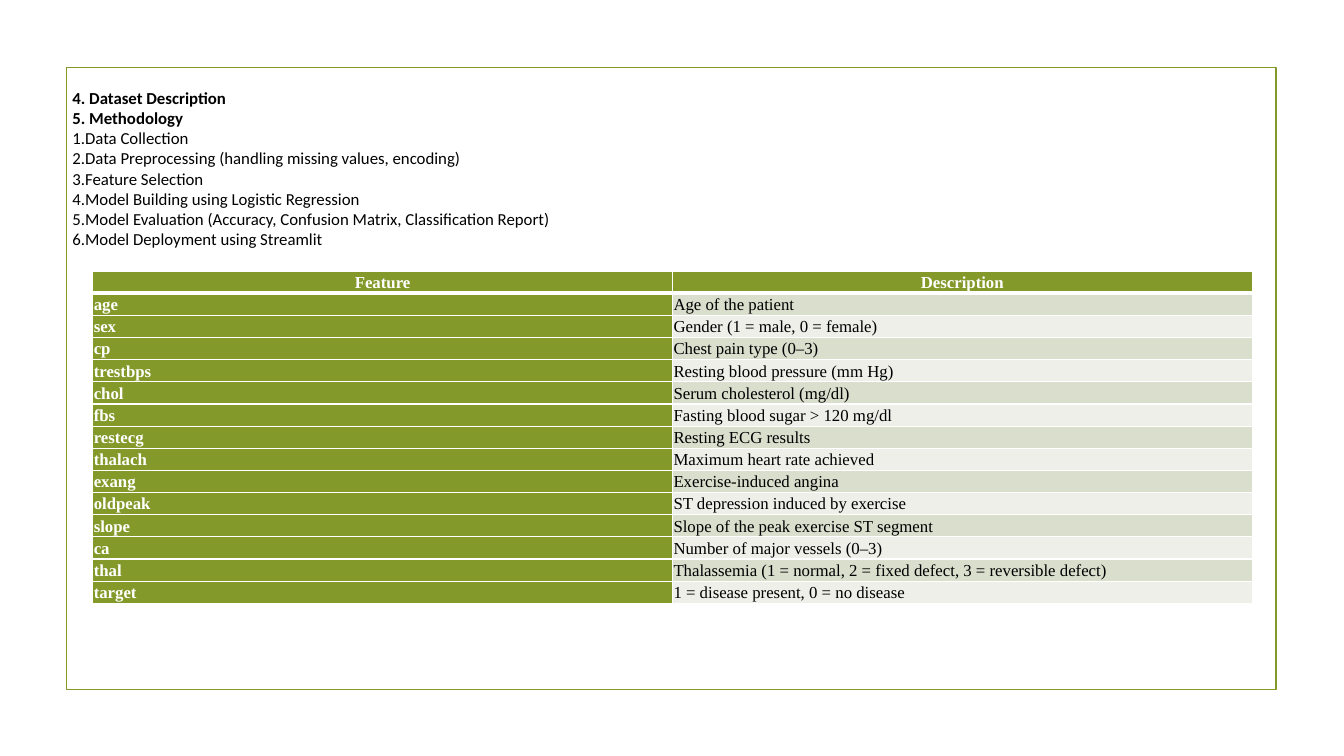
from lxml import etree
from pptx import Presentation
from pptx.dml.color import RGBColor
from pptx.enum.shapes import MSO_SHAPE
from pptx.enum.text import MSO_ANCHOR, PP_ALIGN
from pptx.oxml.ns import qn
from pptx.util import Inches, Pt

RECTANGLE = MSO_SHAPE.RECTANGLE
TOP, MIDDLE = MSO_ANCHOR.TOP, MSO_ANCHOR.MIDDLE
LEFT, CENTER = PP_ALIGN.LEFT, PP_ALIGN.CENTER

GREEN, WHITE, BLACK = "83992A", "FFFFFF", "000000"
BANDS = ("D9DECD", "EDEFE8")

HEADINGS = ["4. Dataset Description", "5. Methodology"]
STEPS = [
    "Data Collection",
    "Data Preprocessing (handling missing values, encoding)",
    "Feature Selection",
    "Model Building using Logistic Regression",
    "Model Evaluation (Accuracy, Confusion Matrix, Classification Report)",
    "Model Deployment using Streamlit",
]
FEATURES = [
    ("Feature", "Description"),
    ("age", "Age of the patient"),
    ("sex", "Gender (1 = male, 0 = female)"),
    ("cp", "Chest pain type (0–3)"),
    ("trestbps", "Resting blood pressure (mm Hg)"),
    ("chol", "Serum cholesterol (mg/dl)"),
    ("fbs", "Fasting blood sugar > 120 mg/dl"),
    ("restecg", "Resting ECG results"),
    ("thalach", "Maximum heart rate achieved"),
    ("exang", "Exercise-induced angina"),
    ("oldpeak", "ST depression induced by exercise"),
    ("slope", "Slope of the peak exercise ST segment"),
    ("ca", "Number of major vessels (0–3)"),
    ("thal", "Thalassemia (1 = normal, 2 = fixed defect, 3 = reversible defect)"),
    ("target", "1 = disease present, 0 = no disease"),
]


def color(value):
    return RGBColor.from_string(value)


def assign(target, values):
    """Set each named attribute of the target."""
    for name, value in values.items():
        setattr(target, name, value)


def add_number(paragraph):
    """Number the paragraph automatically, without an indent."""
    properties = paragraph._p.get_or_add_pPr()
    properties.set("marL", "0")
    properties.set("indent", "0")
    etree.SubElement(properties, qn("a:buAutoNum"), type="arabicPeriod")


def add_border(cell, side, width):
    properties = cell._tc.get_or_add_tcPr()
    line = etree.SubElement(properties, qn(f"a:ln{side}"), w=str(Pt(width)))
    fill = etree.SubElement(line, qn("a:solidFill"))
    etree.SubElement(fill, qn("a:srgbClr"), val=WHITE)


class SlideBuilder:
    text_size = Pt(12)
    list_font = "Calibri"
    table_font = "Times New Roman"
    cell_inset = Inches(0.01)

    def __init__(self, slide):
        self.slide = slide

    def style_font(self, font, name, bold, text_color):
        assign(font, {"name": name, "size": self.text_size, "bold": bold})
        font.color.rgb = color(text_color)

    def frame(self, left, top, width, height):
        shape = self.slide.shapes.add_shape(
            RECTANGLE, Inches(left), Inches(top), Inches(width), Inches(height))
        shape.shadow.inherit = False
        shape.fill.background()
        shape.line.color.rgb = color(GREEN)
        shape.line.width = Pt(1.25)

    def outline(self, headings, steps, left, top, width, height):
        """Add bold headings followed by numbered steps."""
        box = self.slide.shapes.add_textbox(
            Inches(left), Inches(top), Inches(width), Inches(height))
        text_frame = box.text_frame
        assign(text_frame, {"word_wrap": True, "vertical_anchor": TOP})
        for index, text in enumerate(headings + steps):
            paragraph = text_frame.add_paragraph() if index else text_frame.paragraphs[0]
            is_heading = index < len(headings)
            if not is_heading:
                add_number(paragraph)
            run = paragraph.add_run()
            run.text = text
            self.style_font(run.font, self.list_font, is_heading, BLACK)

    def table(self, rows, left, top, width, row_height):
        table = self.slide.shapes.add_table(
            len(rows), len(rows[0]), Inches(left), Inches(top),
            Inches(width), Inches(row_height * len(rows))).table
        for row_index, row in enumerate(rows):
            for column_index, text in enumerate(row):
                self.cell(table.cell(row_index, column_index), text, row_index, column_index)

    def cell(self, cell, text, row_index, column_index):
        is_header = row_index == 0
        is_label = is_header or column_index == 0
        margins = ("margin_left", "margin_right", "margin_top", "margin_bottom")
        assign(cell, {"text": text, "vertical_anchor": MIDDLE,
                      **dict.fromkeys(margins, self.cell_inset)})
        paragraph = cell.text_frame.paragraphs[0]
        assign(paragraph, {"alignment": CENTER if is_header else LEFT, "line_spacing": 1.07})
        self.style_font(paragraph.runs[0].font, self.table_font, is_label,
                        WHITE if is_label else BLACK)
        widths = {"L": 1, "R": 1, "T": 3 if row_index == 1 else 1, "B": 3 if is_header else 1}
        for side, border_width in widths.items():
            add_border(cell, side, border_width)
        cell.fill.solid()
        cell.fill.fore_color.rgb = color(GREEN if is_label else BANDS[(row_index - 1) % 2])


def main():
    presentation = Presentation()
    assign(presentation, {"slide_width": Inches(13.33), "slide_height": Inches(7.5)})
    builder = SlideBuilder(presentation.slides.add_slide(presentation.slide_layouts[6]))
    builder.frame(0.66, 0.67, 12, 6.17)
    builder.table(FEATURES, 0.92, 2.69, 11.5, 0.22)
    builder.outline(HEADINGS, STEPS, 0.62, 0.82, 12, 1.8)
    presentation.save("out.pptx")


if __name__ == "__main__":
    main()
